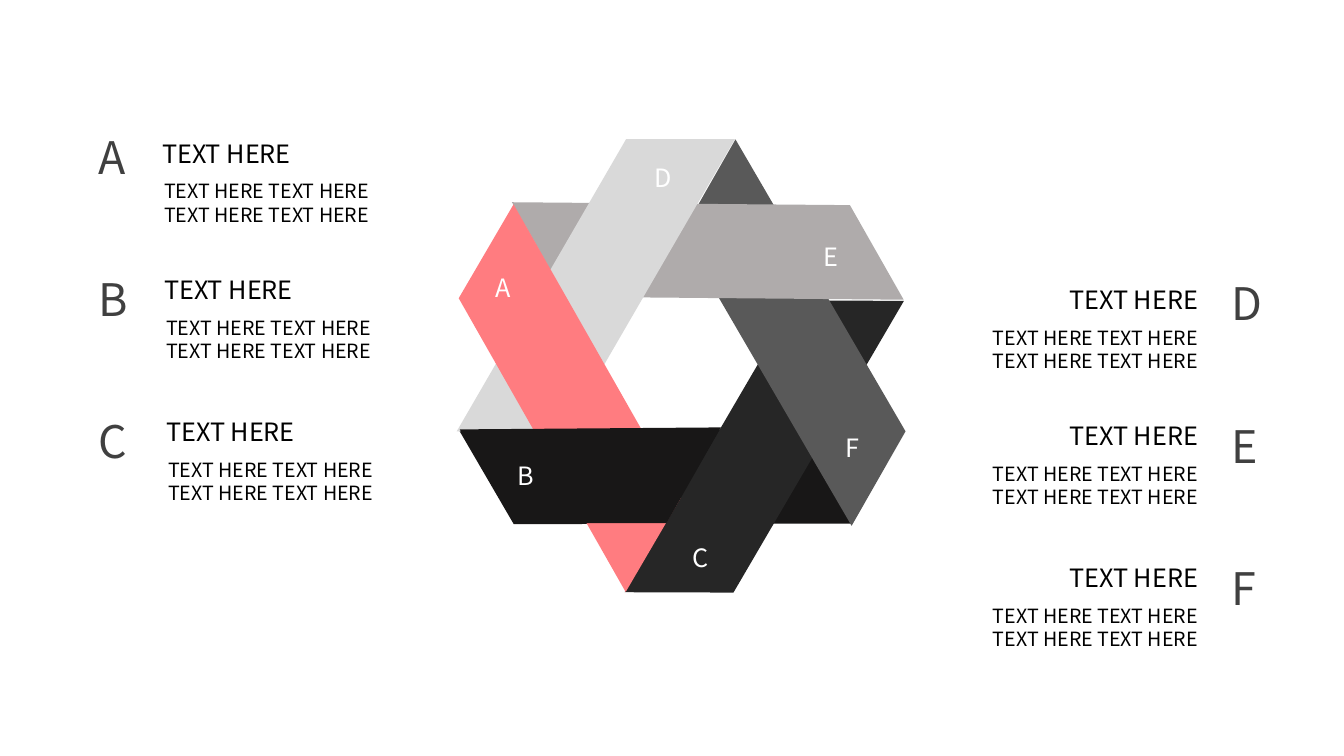
from typing import NamedTuple

from pptx import Presentation
from pptx.dml.color import RGBColor
from pptx.enum.shapes import MSO_SHAPE
from pptx.enum.text import MSO_AUTO_SIZE, PP_ALIGN
from pptx.util import Inches, Pt

BAND = MSO_SHAPE.PARALLELOGRAM
GROW = MSO_AUTO_SIZE.SHAPE_TO_FIT_TEXT
LEFT, RIGHT = PP_ALIGN.LEFT, PP_ALIGN.RIGHT

FONT = "Noto Sans CJK KR"
BLACK = RGBColor(0x00, 0x00, 0x00)
WHITE = RGBColor(0xFF, 0xFF, 0xFF)
SLATE = RGBColor(0x40, 0x40, 0x40)
INK = RGBColor(0x18, 0x17, 0x17)
COAL = RGBColor(0x26, 0x26, 0x26)
GRAY = RGBColor(0x59, 0x59, 0x59)
STONE = RGBColor(0xAF, 0xAB, 0xAB)
PALE = RGBColor(0xD9, 0xD9, 0xD9)
CORAL = RGBColor(0xFF, 0x7C, 0x80)

HEAD = "TEXT HERE"
BODY = ["TEXT HERE TEXT HERE"] * 2
HEAD_W, BODY_W = 1.49, 2.26
RIGHT_EDGE = 11.98
STEP = 1.41


class Band(NamedTuple):
    x: float
    y: float
    turn: float
    color: RGBColor


class Mark(NamedTuple):
    """A white letter on a band."""
    text: str
    x: float
    y: float
    width: float


class Item(NamedTuple):
    letter: str
    width: float
    head_y: float


BANDS = [
    Band(5.12, 3.28, 239.8, INK),
    Band(6.2, 2.98, 180.2, COAL),
    Band(6.49, 1.85, 119.7, GRAY),
    Band(5.64, 1.04, 60.4, STONE),
    Band(4.53, 1.38, 0, PALE),
    Band(4.27, 2.5, 300.3, CORAL),
]
# Covers the coral band so that the ring closes
FOLD = [(6.61, 5.19), (5.1, 5.19), (4.56, 4.26), (7.15, 4.24)]
MARKS = [
    Mark("A", 4.82, 2.65, 0.38),
    Mark("B", 5.03, 4.52, 0.37),
    Mark("C", 6.77, 5.33, 0.37),
    Mark("D", 6.39, 1.56, 0.38),
    Mark("E", 8.07, 2.34, 0.36),
    Mark("F", 8.29, 4.24, 0.35),
]
LEFT_ITEMS = [Item("A", 0.51, 1.32), Item("B", 0.51, 2.67), Item("C", 0.51, 4.08)]
RIGHT_ITEMS = [Item("D", 0.52, 2.77), Item("E", 0.48, 4.12), Item("F", 0.46, 5.53)]


def paint(shape, color: RGBColor) -> None:
    shape.shadow.inherit = False
    shape.fill.solid()
    shape.fill.fore_color.rgb = color
    shape.line.fill.background()


def draw_ring(shapes) -> None:
    for band in BANDS:
        shape = shapes.add_shape(
            BAND, Inches(band.x), Inches(band.y), Inches(2.76), Inches(2.9))
        shape.adjustments[0] = 0.609
        shape.rotation = band.turn
        paint(shape, band.color)
    points = [(Inches(x), Inches(y)) for x, y in FOLD]
    outline = shapes.build_freeform(*points[0])
    outline.add_line_segments(points[1:], close=True)
    paint(outline.convert_to_shape(), INK)


def write(shapes, lines: list[str], x: float, y: float, width: float,
          height: float, size: int, color: RGBColor,
          align: PP_ALIGN = LEFT, wrap: bool = False) -> None:
    box = shapes.add_textbox(Inches(x), Inches(y), Inches(width), Inches(height))
    frame = box.text_frame
    frame.word_wrap = wrap
    frame.auto_size = GROW
    frame.text = "\n".join(lines)
    for para in frame.paragraphs:
        para.alignment = align
        para.font.name = FONT
        para.font.size = Pt(size)
        para.font.color.rgb = color


def draw_list(shapes, items: list[Item], x: float, top: float,
              align: PP_ALIGN) -> None:
    wrap = align == RIGHT
    for row, item in enumerate(items):
        write(shapes, [item.letter], x, top + row * STEP, item.width, 0.64,
              32, SLATE, wrap=wrap)
        if align == RIGHT:
            head_x, body_x = RIGHT_EDGE - HEAD_W, RIGHT_EDGE - BODY_W
        else:
            head_x = 1.51 + row * 0.02
            body_x = head_x + 0.02
        write(shapes, [HEAD], head_x, item.head_y, HEAD_W, 0.4,
              18, BLACK, align, wrap)
        write(shapes, BODY, body_x, item.head_y + 0.41, BODY_W, 0.81,
              14, BLACK, align, wrap)


def main() -> None:
    deck = Presentation()
    deck.slide_width, deck.slide_height = Inches(13.33), Inches(7.5)
    shapes = deck.slides.add_slide(deck.slide_layouts[6]).shapes
    draw_ring(shapes.add_group_shape().shapes)
    for mark in MARKS:
        write(shapes, [mark.text], mark.x, mark.y, mark.width, 0.4, 18, WHITE)
    draw_list(shapes.add_group_shape().shapes, LEFT_ITEMS, 0.88, 1.24, LEFT)
    draw_list(shapes.add_group_shape().shapes, RIGHT_ITEMS, 12.12, 2.69, RIGHT)
    deck.save("out.pptx")


if __name__ == "__main__":
    main()
